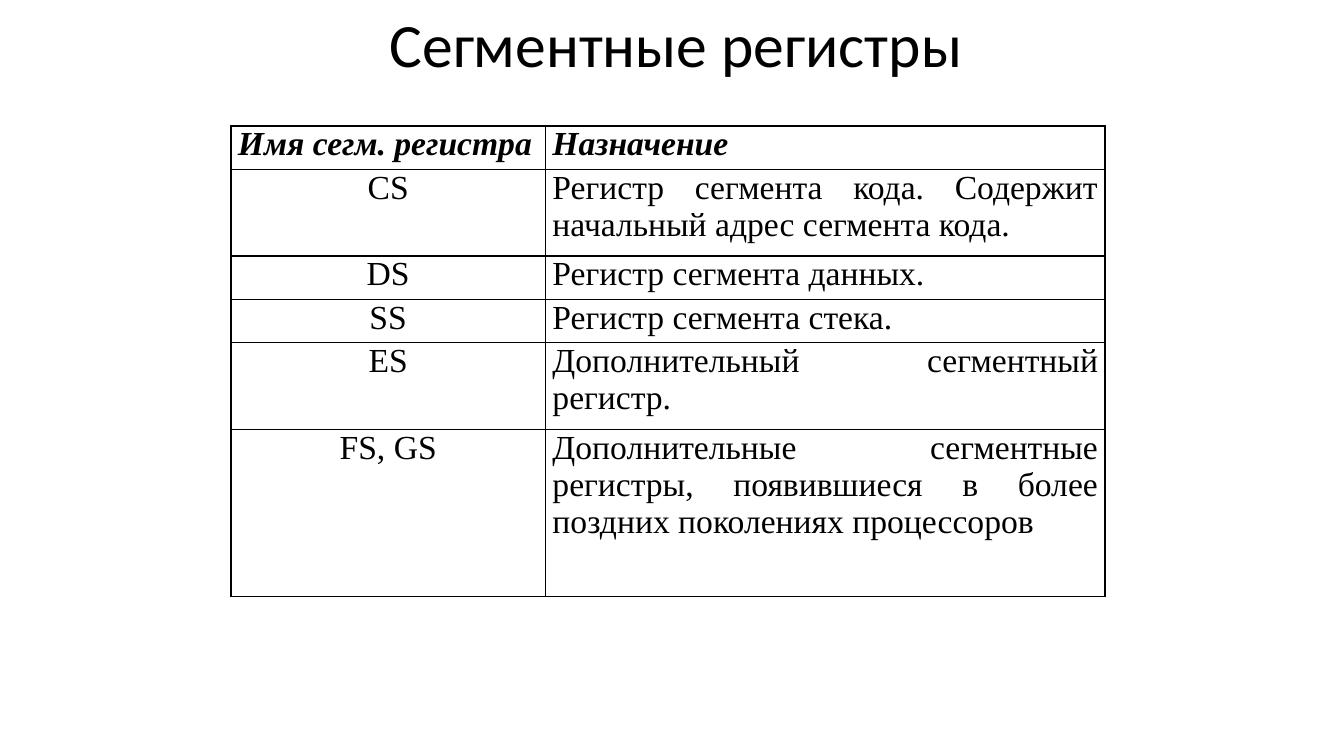
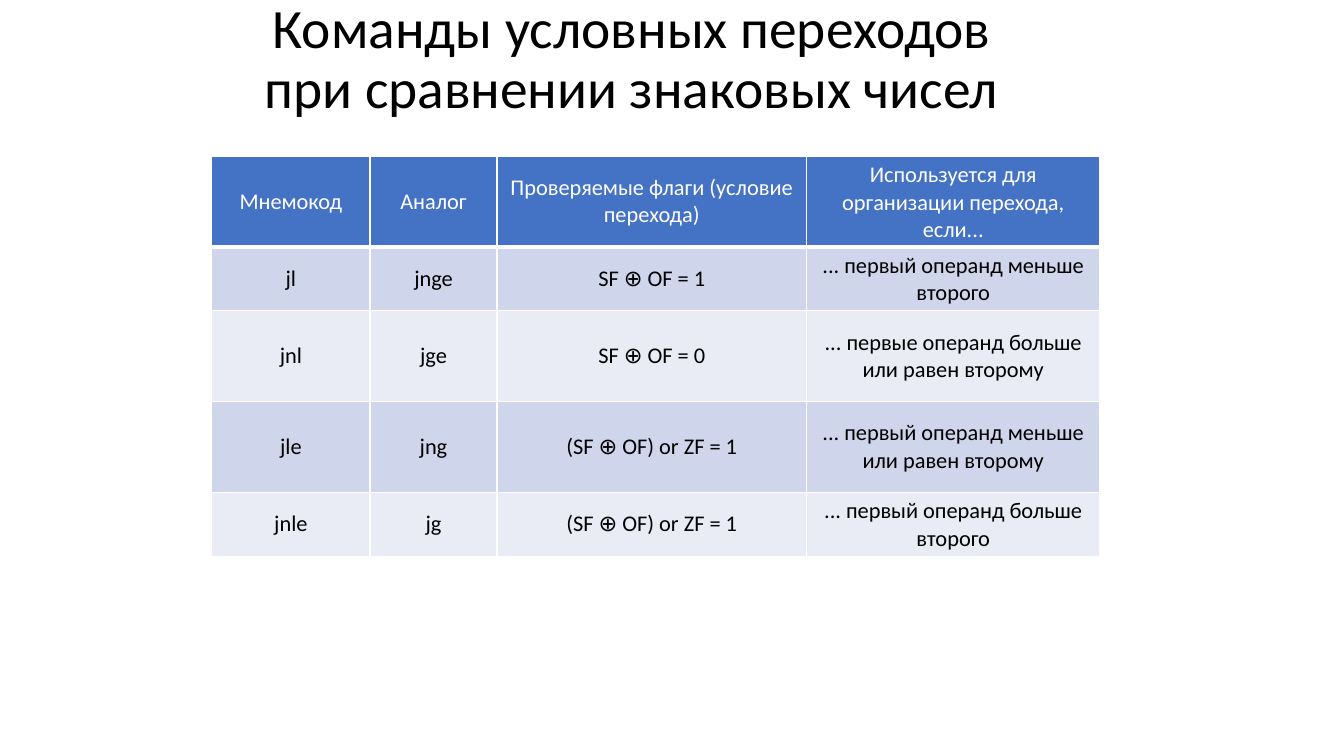
"""Build two slides on segment registers and signed conditional jumps."""
from dataclasses import dataclass

from lxml import etree
from pptx import Presentation
from pptx import util as u
from pptx.dml.color import RGBColor
from pptx.enum import text
from pptx.oxml import ns

EMU_PER_PX = 9144
BLACK, WHITE, BLUE = "000000", "FFFFFF", "4472C4"
BANDS = ("CFD5EA", "E9EBF5")
CENTER, JUSTIFY = text.PP_ALIGN.CENTER, text.PP_ALIGN.JUSTIFY
TITLE_FONT = {"name": "Calibri", "bold": False}


@dataclass(frozen=True)
class Title:
    wording: str
    left: int
    top: int
    width: int
    size: float
    height: int = 94


@dataclass(frozen=True)
class TableStyle:
    font: dict
    header_font: dict
    header_color: str
    header_align: int
    aligns: tuple
    margins: tuple
    anchor: int
    line: str
    header_line: int
    header_fill: str = ""
    bands: tuple = ("",)


@dataclass(frozen=True)
class Grid:
    left: int
    top: int
    columns: tuple
    heights: tuple
    rows: tuple
    style: TableStyle


REGISTER_STYLE = TableStyle(
    font={"name": "Times New Roman", "size": u.Pt(24), "bold": False, "italic": False},
    header_font={"bold": True, "italic": True},
    header_color=BLACK,
    header_align=JUSTIFY,
    aligns=(CENTER, JUSTIFY),
    margins=(7, 0),
    anchor=text.MSO_ANCHOR.TOP,
    line=BLACK,
    header_line=1,
)
JUMP_STYLE = TableStyle(
    font={"name": "Calibri", "size": u.Pt(16), "bold": False},
    header_font={},
    header_color=WHITE,
    header_align=CENTER,
    aligns=(CENTER,) * 4,
    margins=(10, 5),
    anchor=text.MSO_ANCHOR.MIDDLE,
    line=WHITE,
    header_line=3,
    header_fill=BLUE,
    bands=BANDS,
)

REGISTERS = Grid(
    229, 125, (312, 555), (43, 86, 43, 43, 86, 166),
    (
        ("Имя сегм. регистра", "Назначение"),
        ("CS", "Регистр сегмента кода. Содержит начальный адрес сегмента кода."),
        ("DS", "Регистр сегмента данных."),
        ("SS", "Регистр сегмента стека."),
        ("ES", "Дополнительный сегментный регистр."),
        ("FS, GS", "Дополнительные сегментные регистры, появившиеся в более "
                   "поздних поколениях процессоров"),
    ),
    REGISTER_STYLE,
)
JUMPS = Grid(
    210, 155, (157, 126, 307, 291), (90, 63, 90, 90, 63),
    (
        ("Мнемокод", "Аналог", "Проверяемые флаги (условие перехода)",
         "Используется для организации перехода, если..."),
        ("jl", "jnge", "SF ⊕ OF = 1", "... первый операнд меньше второго"),
        ("jnl", "jge", "SF ⊕ OF = 0", "... первые операнд больше или равен второму"),
        ("jle", "jng", "(SF ⊕ OF) or ZF = 1", "... первый операнд меньше или равен второму"),
        ("jnle", "jg", "(SF ⊕ OF) or ZF = 1", "... первый операнд больше второго"),
    ),
    JUMP_STYLE,
)
PAGES = (
    (Title("Сегментные регистры", 221, 0, 900, 44), REGISTERS),
    (Title("Команды условных переходов\nпри сравнении знаковых чисел", 218, 13, 817, 39.6), JUMPS),
)


def px(length: int) -> u.Emu:
    """Turn px into EMU."""
    return u.Emu(length * EMU_PER_PX)


def rgb(color: str) -> RGBColor:
    """Turn a hex string into a colour."""
    return RGBColor.from_string(color)


def apply(target, formats: dict) -> None:
    """Set every attribute in a dict of format values."""
    for name, value in formats.items():
        setattr(target, name, value)


def write(para, wording: str, font: dict, color: str, align: int) -> None:
    """Fill a paragraph and format its runs."""
    para.text = wording.replace("\n", "\v")
    para.alignment = align
    for span in para.runs:
        apply(span.font, font)
        span.font.color.rgb = rgb(color)


def add_title(page, title: Title) -> None:
    """Draw the slide title."""
    box = page.shapes.add_textbox(*map(px, (title.left, title.top, title.width, title.height)))
    frame = box.text_frame
    apply(frame, {"word_wrap": True, "vertical_anchor": text.MSO_ANCHOR.MIDDLE})
    para = frame.paragraphs[0]
    write(para, title.wording, TITLE_FONT | {"size": u.Pt(title.size)}, BLACK, CENTER)
    para.line_spacing = 0.9


def add_borders(cell, color: str, widths: dict) -> None:
    """Draw the four edges of a cell, with widths in points."""
    properties = cell._tc.get_or_add_tcPr()
    for index, (edge, width) in enumerate(widths.items()):
        line = etree.Element(ns.qn(f"a:{edge}"), w=str(u.Pt(width)))
        fill = etree.SubElement(line, ns.qn("a:solidFill"))
        etree.SubElement(fill, ns.qn("a:srgbClr"), val=color)
        properties.insert(index, line)


def format_cell(cell, wording: str, row: int, column: int, style: TableStyle) -> None:
    """Write and style one table cell."""
    header = row == 0
    side, end = map(px, style.margins)
    apply(cell, {"margin_left": side, "margin_right": side, "margin_top": end,
                 "margin_bottom": end, "vertical_anchor": style.anchor})
    write(
        cell.text_frame.paragraphs[0],
        wording,
        style.font | (style.header_font if header else {}),
        style.header_color if header else BLACK,
        style.header_align if header else style.aligns[column],
    )
    color = style.header_fill if header else style.bands[(row - 1) % len(style.bands)]
    if color:
        cell.fill.solid()
        cell.fill.fore_color.rgb = rgb(color)
    else:
        cell.fill.background()
    add_borders(cell, style.line, {
        "lnL": 1,
        "lnR": 1,
        "lnT": style.header_line if row == 1 else 1,
        "lnB": style.header_line if header else 1,
    })


def add_grid(page, grid: Grid) -> None:
    """Draw a table from its grid."""
    table = page.shapes.add_table(
        len(grid.heights), len(grid.columns), px(grid.left), px(grid.top),
        px(sum(grid.columns)), px(sum(grid.heights)),
    ).table
    apply(table, {"first_row": False, "horz_banding": False})
    for column, width in zip(table.columns, grid.columns):
        column.width = px(width)
    for row, height in zip(table.rows, grid.heights):
        row.height = px(height)
    for row, wordings in enumerate(grid.rows):
        for column, wording in enumerate(wordings):
            format_cell(table.cell(row, column), wording, row, column, grid.style)


def main() -> None:
    """Build and save the deck."""
    deck = Presentation()
    apply(deck, {"slide_width": px(1333), "slide_height": px(750)})
    for title, grid in PAGES:
        page = deck.slides.add_slide(deck.slide_layouts[6])
        add_title(page, title)
        add_grid(page, grid)
    deck.save("out.pptx")


if __name__ == "__main__":
    main()
